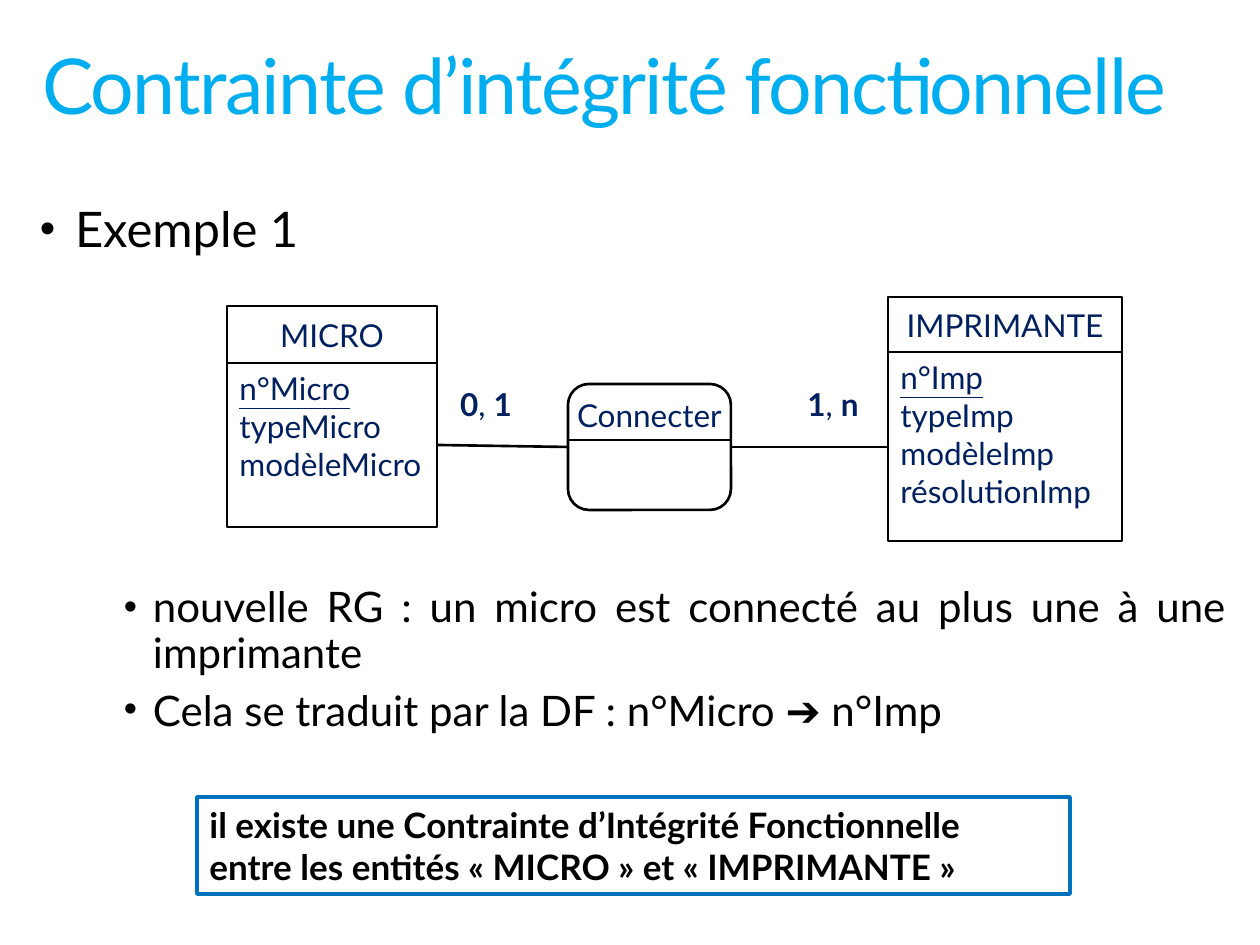
import pptx
import pptx.util
import pptx.dml.color
import pptx.enum.shapes
import pptx.enum.text
from lxml import etree
from pptx.oxml.ns import qn

RGB = pptx.dml.color.RGBColor
BLACK = RGB(0x00, 0x00, 0x00)
WHITE = RGB(0xFF, 0xFF, 0xFF)
NAVY = RGB(0x00, 0x20, 0x60)
CYAN = RGB(0x00, 0xAE, 0xEF)
BLUE = RGB(0x00, 0x71, 0xBC)
KIND = pptx.enum.shapes.MSO_SHAPE
ALIGN = pptx.enum.text.PP_ALIGN
ANCHOR = pptx.enum.text.MSO_ANCHOR
FIT = pptx.enum.text.MSO_AUTO_SIZE
Pt = pptx.util.Pt
SCALE = 914400 / 126


def place(*px):
    return [round(n * SCALE) for n in px]


def write(frame, lines, size, color, align=ALIGN.LEFT):
    for i, line in enumerate(lines):
        para = frame.add_paragraph() if i else frame.paragraphs[0]
        para.alignment = align
        for text, style in line:
            run = para.add_run()
            run.text = text
            run.font.name = "Lato"
            run.font.size = Pt(size)
            run.font.color.rgb = color
            run.font.bold = "b" in style
            run.font.underline = "u" in style


deck = pptx.Presentation()
deck.slide_width, deck.slide_height = place(1260, 945)
slide = deck.slides.add_slide(deck.slide_layouts[1])
shapes = slide.shapes

title, body = shapes.title, slide.placeholders[1]
for holder, box in ((title, (42, 44, 1176, 92)), (body, (40, 187, 1186, 561))):
    holder.left, holder.top, holder.width, holder.height = place(*box)
    frame = holder.text_frame
    frame.margin_left = frame.margin_right = 0
    frame.margin_top = frame.margin_bottom = 0
    frame.vertical_anchor = ANCHOR.TOP
    frame.word_wrap = True
    frame.auto_size = FIT.NONE

write(title.text_frame, [[("Contrainte d’intégrité fonctionnelle", "")]], 44, CYAN)
head = title.text_frame.paragraphs[0]
head.line_spacing = 0.95
head.runs[0].font._element.set("spc", "-100")

items = [
    ("Exemple 1", 0, 28, 35, 35, 1.2, 0),
    ("nouvelle RG : un micro est connecté au plus une à une imprimante", 1, 24, 113, 29, 0.9, 188),
    ("Cela se traduit par la DF : n°Micro ➔ n°Imp", 1, 24, 113, 29, 0.7, 12),
]
for i, (text, level, size, left, hang, line, gap) in enumerate(items):
    para = body.text_frame.add_paragraph() if i else body.text_frame.paragraphs[0]
    para.level = level
    para.alignment = ALIGN.JUSTIFY
    para.line_spacing = line
    para.space_before = Pt(gap)
    para.space_after = Pt(0)
    props = para._p.get_or_add_pPr()
    props.set("marL", str(place(left)[0]))
    props.set("indent", str(place(-hang)[0]))
    etree.SubElement(props, qn("a:buSzPct")).set("val", "90000")
    etree.SubElement(props, qn("a:buChar")).set("char", "•")
    run = para.add_run()
    run.text = text
    run.font.name = "Lato"
    run.font.size = Pt(size)
    run.font.color.rgb = BLACK

tables = [
    ("MICRO", ["n°Micro", "typeMicro", "modèleMicro"], 227, 306, 210, 57, 164),
    ("IMPRIMANTE", ["n°Imp", "typeImp", "modèleImp", "résolutionImp"], 888, 297, 234, 55, 189),
]
boxes = [(KIND.ROUNDED_RECTANGLE, (568, 384, 163, 126), [[("Connecter", "")]], ALIGN.CENTER, ANCHOR.TOP)]
for name, fields, left, top, width, cap, deep in tables:
    rows = [[(field, "" if i else "u")] for i, field in enumerate(fields)]
    boxes += [
        (KIND.RECTANGLE, (left, top, width, cap), [[(name, "")]], ALIGN.CENTER, ANCHOR.MIDDLE),
        (KIND.RECTANGLE, (left, top + cap, width, deep), rows, ALIGN.LEFT, ANCHOR.TOP),
    ]
for kind, box, rows, align, anchor in boxes:
    shape = shapes.add_shape(kind, *place(*box))
    shape.shadow.inherit = False
    shape.fill.background()
    shape.line.color.rgb = BLACK
    shape.line.width = Pt(1.5)
    shape.text_frame.word_wrap = False
    shape.text_frame.vertical_anchor = anchor
    write(shape.text_frame, rows, 18, NAVY, align)

for ends in ((438, 445, 567, 447), (887, 447, 732, 447), (568, 440, 731, 440)):
    link = shapes.add_connector(pptx.enum.shapes.MSO_CONNECTOR.STRAIGHT, *place(*ends))
    link.line.color.rgb = BLACK
    link.line.width = Pt(1.5)
    etree.SubElement(link._element.spPr, qn("a:effectLst"))

for left, low, high in ((441, "0", "1"), (788, "1", "n")):
    label = shapes.add_textbox(*place(left, 384, 90, 40))
    frame = label.text_frame
    frame.margin_left = frame.margin_right = 0
    frame.margin_top = frame.margin_bottom = 0
    frame.word_wrap = True
    frame.vertical_anchor = ANCHOR.MIDDLE
    write(frame, [[(low, "b"), (", ", ""), (high, "b")]], 18, NAVY, ALIGN.CENTER)

note = shapes.add_shape(KIND.RECTANGLE, *place(197, 797, 873, 97))
note.shadow.inherit = False
note.fill.solid()
note.fill.fore_color.rgb = WHITE
note.line.color.rgb = BLUE
note.line.width = Pt(2)
note.text_frame.word_wrap = True
note.text_frame.vertical_anchor = ANCHOR.TOP
write(note.text_frame, [
    [("il existe une Contrainte d’Intégrité Fonctionnelle", "b")],
    [("entre les entités « MICRO » et « IMPRIMANTE »", "b")],
], 20, BLACK)

deck.save("out.pptx")
